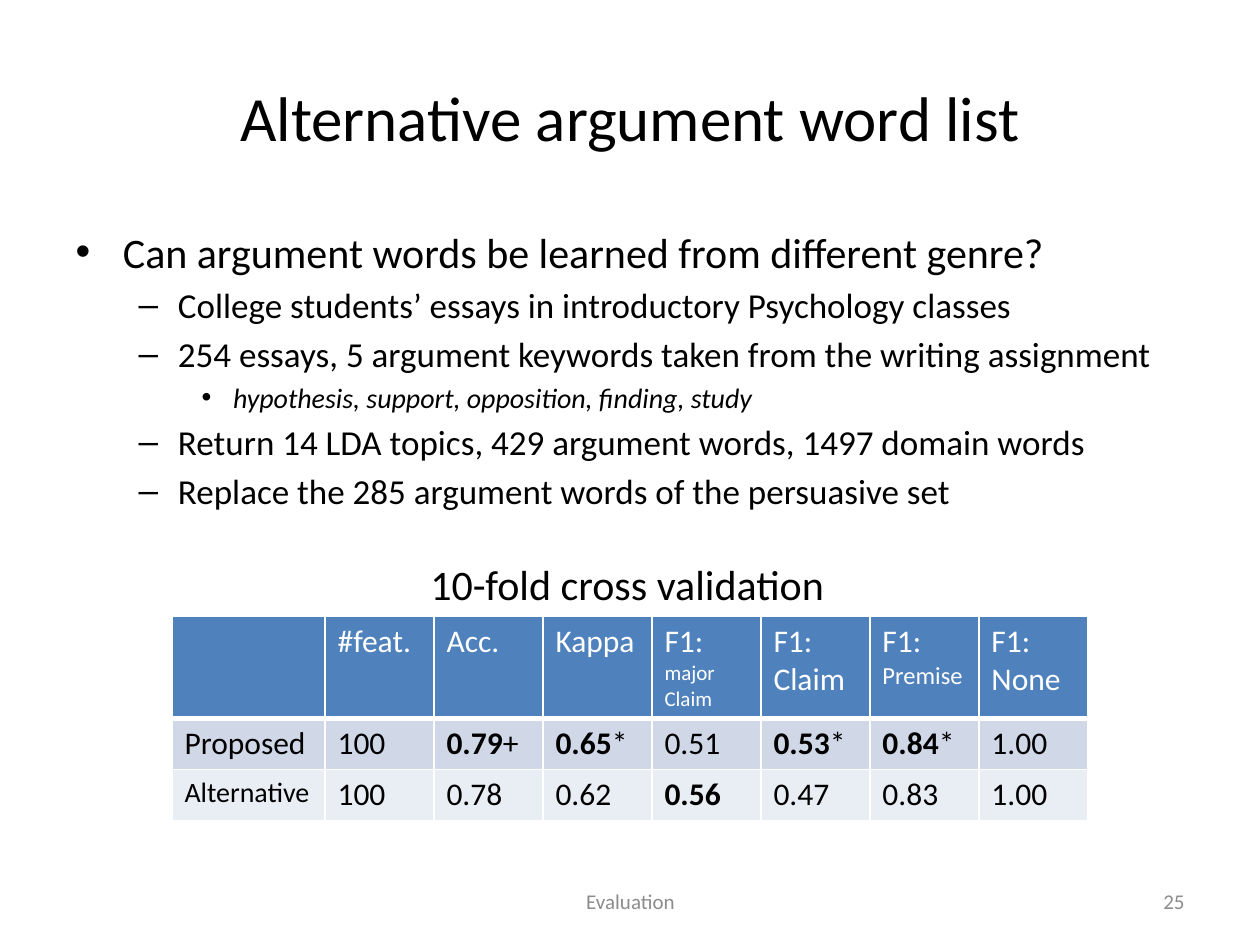
from copy import deepcopy

from lxml.etree import SubElement
from pptx import Presentation
from pptx.dml.color import RGBColor
from pptx.enum.text import MSO_ANCHOR, MSO_AUTO_SIZE, PP_ALIGN
from pptx.oxml.ns import qn
from pptx.util import Emu, Pt

PX = 914400 / 126
COLORS = {"text": "000000", "muted": "8C8C8C", "white": "FFFFFF",
          "header": "4F81BD", "band1": "D0D8E8", "band2": "E9EDF4"}


def px(*values):
    return [Emu(round(v * PX)) for v in values]


def add_runs(p, runs, color):
    """Add (text, size, bold, italic) runs; a newline becomes a line break."""
    for text, size, bold, italic in runs:
        for i, part in enumerate(text.split("\n")):
            if i:
                p.add_line_break()
                p._p[-1].append(deepcopy(r._r.rPr))
            if part:
                r = p.add_run()
                r.text = part
                r.font.name = "Calibri"
                r.font.size = Pt(size)
                r.font.bold = bold
                r.font.italic = italic
                r.font.color.rgb = RGBColor.from_string(COLORS[color])


prs = Presentation()
prs.slide_width, prs.slide_height = px(1260, 945)
s = prs.slides.add_slide(prs.slide_layouts[1])

# Title
title = s.shapes.title
title.left, title.top, title.width, title.height = px(63, 38, 1134, 157)
add_runs(title.text_frame.paragraphs[0],
         [("Alternative argument word list", 36, False, False)], "text")

# Bullet list
body = s.placeholders[1]
body.left, body.top, body.width, body.height = px(63, 220, 1134, 624)
tf = body.text_frame
tf.auto_size = MSO_AUTO_SIZE.NONE
bullets = [
    (0, "Can argument words be learned from different genre?"),
    (1, "College students’ essays in introductory Psychology classes"),
    (1, "254 essays, 5 argument keywords taken from the writing assignment"),
    (2, "hypothesis, support, opposition, finding, study"),
    (1, "Return 14 LDA topics, 429 argument words, 1497 domain words"),
    (1, "Replace the 285 argument words of the persuasive set"),
]
for i, (level, text) in enumerate(bullets):
    p = tf.add_paragraph() if i else tf.paragraphs[0]
    p.level = level
    add_runs(p, [(text, (24, 20, 16)[level], False, level == 2)], "text")

# Results table
header = [[], [("#feat.", 18)], [("Acc.", 18)], [("Kappa", 18)],
          [("F1:\n", 18), ("major\nClaim", 12)], [("F1:\nClaim", 18)],
          [("F1:\n", 18), ("Premise", 14)], [("F1:\nNone", 18)]]
proposed = [[("Proposed", 18)], [("100", 18)],
            [("0.79", 18, True), ("+", 18)], [("0.65", 18, True), ("*", 18)],
            [("0.51", 18)], [("0.53", 18, True), ("*", 18)],
            [("0.84", 18, True), ("*", 18)], [("1.00", 18)]]
alternative = [[("Alternative", 16)], [("100", 18)], [("0.78", 18)],
               [("0.62", 18)], [("0.56", 18, True)], [("0.47", 18)],
               [("0.83", 18)], [("1.00", 18)]]
rows = [(header, 102, "header", "white"), (proposed, 51, "band1", "text"),
        (alternative, 51, "band2", "text")]
table = s.shapes.add_table(3, 8, *px(172, 616, 915, 204)).table
for col, width in zip(table.columns, px(153, *[109] * 7)):
    col.width = width
for y, (cells, height, fill, color) in enumerate(rows):
    table.rows[y].height = px(height)[0]
    for x, runs in enumerate(cells):
        cell = table.cell(y, x)
        add_runs(cell.text_frame.paragraphs[0],
                 [(run[0], run[1], len(run) == 3, False) for run in runs], color)
        # Cell borders go before the fill, thick around the header's lower edge
        tcPr = cell._tc.get_or_add_tcPr()
        for side in "LRTB":
            thick = (y, side) in ((0, "B"), (1, "T"))
            ln = SubElement(tcPr, qn(f"a:ln{side}"), w=str(Pt(3 if thick else 1)))
            SubElement(SubElement(ln, qn("a:solidFill")), qn("a:srgbClr"),
                       val=COLORS["white"])
        cell.fill.solid()
        cell.fill.fore_color.rgb = RGBColor.from_string(COLORS[fill])

# Table caption, footer and slide number
labels = [
    ("10-fold cross validation", (418, 552, 423, 63), 24, "text",
     PP_ALIGN.LEFT, MSO_ANCHOR.TOP, False),
    ("Evaluation", (431, 876, 399, 50), 12, "muted",
     PP_ALIGN.CENTER, MSO_ANCHOR.MIDDLE, True),
    ("25", (903, 876, 294, 50), 12, "muted",
     PP_ALIGN.RIGHT, MSO_ANCHOR.MIDDLE, True),
]
for text, box, size, color, align, anchor, wrap in labels:
    tf = s.shapes.add_textbox(*px(*box)).text_frame
    tf.word_wrap = wrap
    tf.vertical_anchor = anchor
    p = tf.paragraphs[0]
    p.alignment = align
    add_runs(p, [(text, size, False, False)], color)

prs.save("out.pptx")
